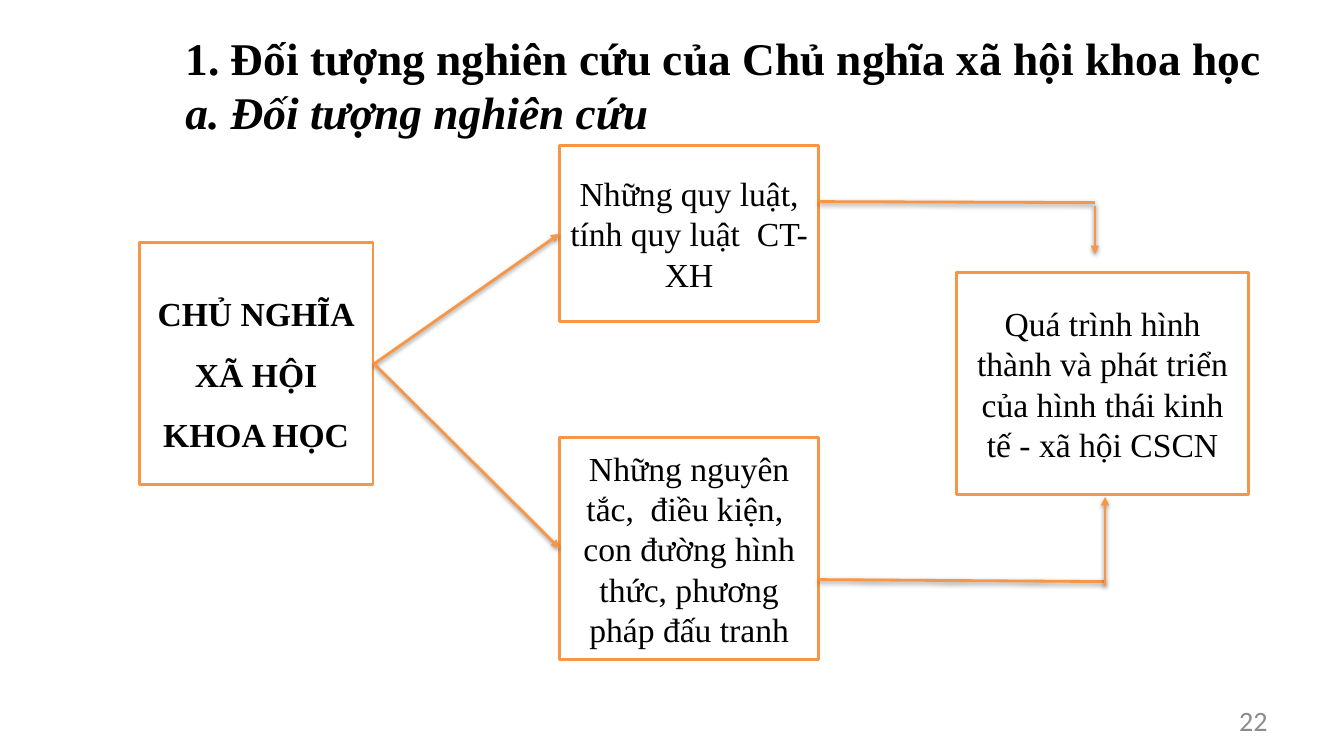
import pptx
import pptx.dml.color
import pptx.enum.shapes
import pptx.enum.text
import pptx.oxml
import pptx.oxml.ns
import pptx.util
from dataclasses import dataclass

Inches = pptx.util.Inches
Align = pptx.enum.text.PP_ALIGN


@dataclass(frozen=True)
class Theme:
    ink: str = "000000"
    paper: str = "FFFFFF"
    accent: str = "F79646"
    muted: str = "8C8C8C"
    serif: str = "Times New Roman"
    sans: str = "Calibri"
    title_size: float = 32.4
    body_size: float = 24
    number_size: float = 20
    line_width: float = 2


def rgb(value):
    return pptx.dml.color.RGBColor.from_string(value)


class SlideBuilder:
    def __init__(self, slide, theme):
        self.slide = slide
        self.theme = theme

    def set_text(self, shape, lines, size, color, font, align, bold=False, spacing=None):
        """Fill a shape with one paragraph per line and format the runs."""
        frame = shape.text_frame
        frame.word_wrap = True
        frame.vertical_anchor = pptx.enum.text.MSO_ANCHOR.MIDDLE
        frame.text = "\n".join(lines)
        for paragraph in frame.paragraphs:
            paragraph.alignment = align
            paragraph.line_spacing = spacing
            for run in paragraph.runs:
                run.font.name = font
                run.font.size = pptx.util.Pt(size)
                run.font.bold = bold
                run.font.color.rgb = rgb(color)
        return frame

    def text(self, bounds, lines, size, color, font, align, bold=False):
        shape = self.slide.shapes.add_textbox(*map(Inches, bounds))
        return self.set_text(shape, lines, size, color, font, align, bold)

    def box(self, bounds, lines, bold=False, spacing=None):
        theme = self.theme
        shape = self.slide.shapes.add_shape(
            pptx.enum.shapes.MSO_SHAPE.RECTANGLE, *map(Inches, bounds))
        shape.shadow.inherit = False
        shape.fill.solid()
        shape.fill.fore_color.rgb = rgb(theme.paper)
        self.outline(shape)
        self.set_text(shape, lines, theme.body_size, theme.ink, theme.serif,
                      Align.CENTER, bold, spacing)

    def outline(self, shape):
        shape.line.color.rgb = rgb(self.theme.accent)
        shape.line.width = pptx.util.Pt(self.theme.line_width)

    def connector(self, start, end, arrow=True):
        line = self.slide.shapes.add_connector(
            pptx.enum.shapes.MSO_CONNECTOR.STRAIGHT, *map(Inches, start + end))
        self.outline(line)
        namespace = pptx.oxml.ns.nsdecls("a")
        if arrow:
            line.get_or_add_ln().append(pptx.oxml.parse_xml(
                f'<a:tailEnd {namespace} type="triangle"/>'))
        # Soft shadow straight below the line
        line._element.spPr.append(pptx.oxml.parse_xml(
            f'<a:effectLst {namespace}>'
            '<a:outerShdw blurRad="40000" dist="20000" dir="5400000" rotWithShape="0">'
            f'<a:srgbClr val="{self.theme.ink}"><a:alpha val="38000"/></a:srgbClr>'
            '</a:outerShdw></a:effectLst>'))


def main():
    presentation = pptx.Presentation()
    presentation.slide_width = Inches(13.33)
    presentation.slide_height = Inches(7.5)
    theme = Theme()
    builder = SlideBuilder(
        presentation.slides.add_slide(presentation.slide_layouts[6]), theme)

    # Page number and heading
    builder.text((9.56, 6.95, 3.11, 0.4), ["22"],
                 theme.number_size, theme.muted, theme.sans, Align.RIGHT)
    heading = builder.text(
        (1.74, 0.21, 11.5, 1.25),
        ["1. Đối tượng nghiên cứu của Chủ nghĩa xã hội khoa học",
         "a. Đối tượng nghiên cứu"],
        theme.title_size, theme.ink, theme.serif, Align.LEFT, bold=True)
    heading.paragraphs[1].runs[0].font.italic = True

    # Subject, its two objects of study, and the outcome
    builder.box((1.38, 2.41, 2.32, 2.4), ["CHỦ NGHĨA", "XÃ HỘI", "KHOA HỌC"],
                bold=True, spacing=1.5)
    middle_left, middle_width = 5.55, 2.57
    middle_right = middle_left + middle_width
    builder.box((middle_left, 1.44, middle_width, 1.75),
                ["Những quy luật, tính quy luật  CT-XH"])
    builder.box((middle_left, 4.34, middle_width, 2.2),
                ["Những nguyên tắc,  điều kiện,  con đường hình thức, "
                 "phương pháp đấu tranh"])
    builder.box((9.49, 2.7, 2.89, 2.21),
                ["Quá trình hình thành và phát triển của hình thái kinh "
                 "tế - xã hội CSCN"])

    # Arrows from the subject to the objects of study
    for target_y in (2.32, 5.44):
        builder.connector((3.71, 3.61), (middle_left, target_y))

    # Bent arrows from the objects of study to the outcome
    builder.connector((middle_right, 2), (10.86, 2.01), arrow=False)
    builder.connector((10.86, 2.04), (10.86, 2.52))
    builder.connector((middle_right, 5.75), (10.96, 5.77), arrow=False)
    builder.connector((10.96, 5.81), (10.96, 4.93))

    presentation.save("out.pptx")


if __name__ == "__main__":
    main()
